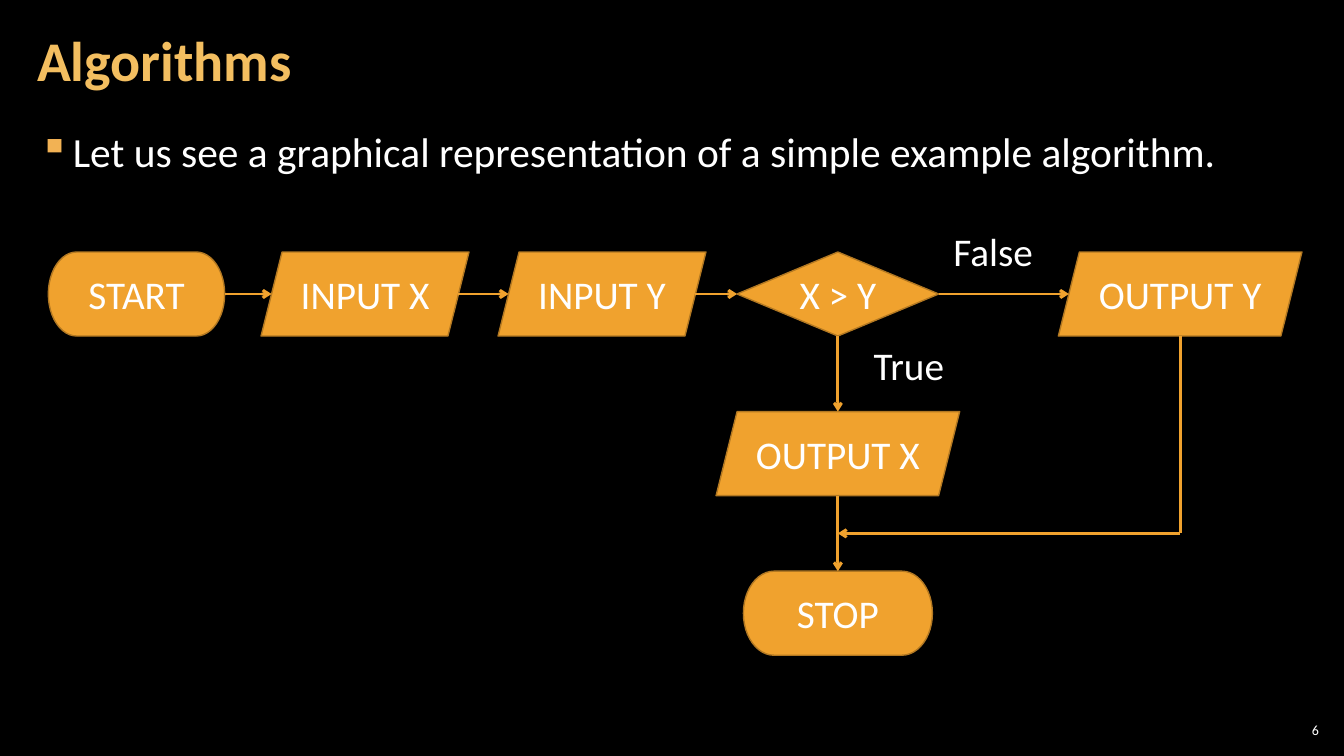
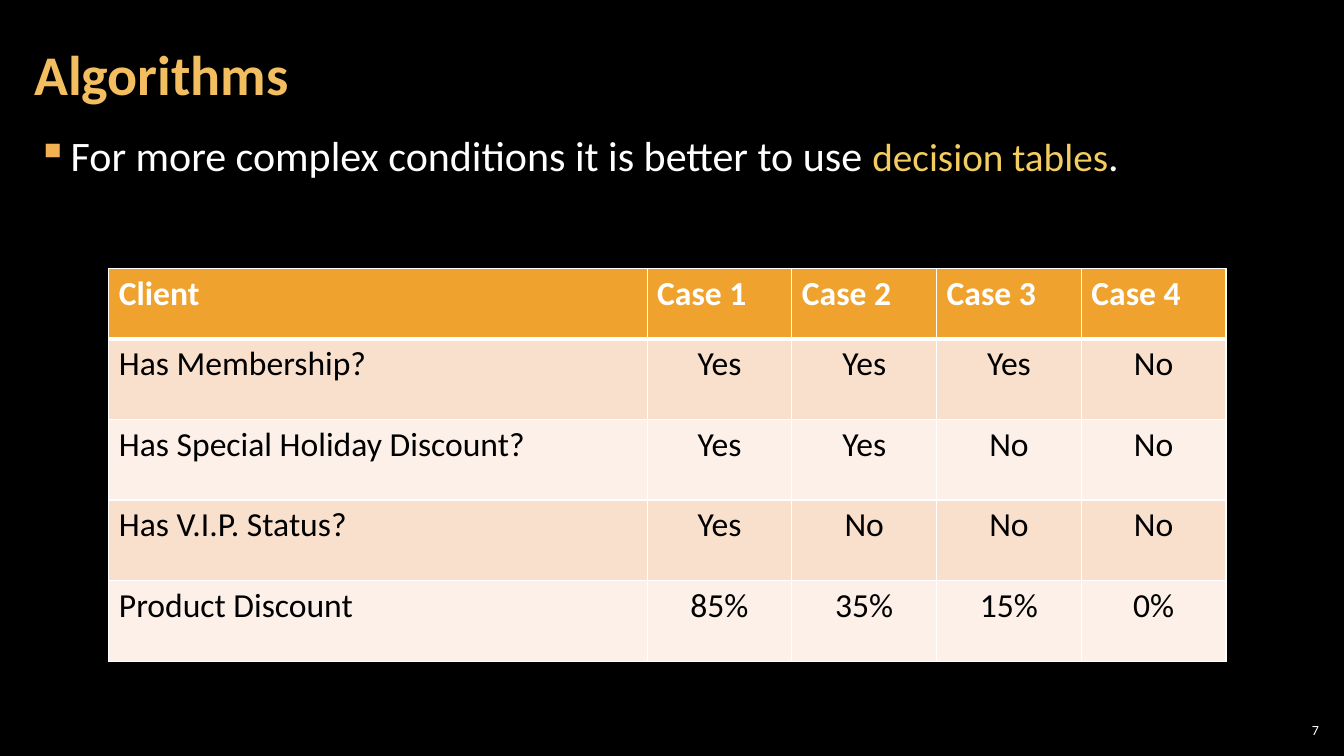
from dataclasses import dataclass
from itertools import pairwise

from lxml import etree
from pptx import Presentation
from pptx.dml.color import RGBColor
from pptx.enum.shapes import MSO_CONNECTOR, MSO_SHAPE
from pptx.enum.text import MSO_ANCHOR, MSO_AUTO_SIZE, PP_ALIGN
from pptx.oxml.ns import qn
from pptx.util import Pt

STRAIGHT = MSO_CONNECTOR.STRAIGHT
TERMINATOR = MSO_SHAPE.FLOWCHART_TERMINATOR
DECISION = MSO_SHAPE.FLOWCHART_DECISION
DATA = MSO_SHAPE.PARALLELOGRAM
LEFT, CENTER, RIGHT = PP_ALIGN.LEFT, PP_ALIGN.CENTER, PP_ALIGN.RIGHT
TOP, MIDDLE = MSO_ANCHOR.TOP, MSO_ANCHOR.MIDDLE
NO_FIT, FIT_SHAPE = MSO_AUTO_SIZE.NONE, MSO_AUTO_SIZE.SHAPE_TO_FIT_TEXT
TITLE_ONLY = 5


@dataclass(frozen=True)
class Theme:
    font: str = "Calibri"
    back: str = "000000"
    text: str = "FFFFFF"
    dark_text: str = "000000"
    title: str = "F3BE60"
    bullet: str = "F2B254"
    highlight: str = "F3CD60"
    accent: str = "F0A22E"
    outline: str = "B27822"
    bands: tuple = ("F9E0CD", "FCF0E8")
    title_size: float = 40
    body_size: float = 30
    node_size: float = 28
    table_size: float = 24
    number_size: float = 10


def rgb(color):
    return RGBColor.from_string(color)


def sub(parent, tag, **attrs):
    el = etree.SubElement(parent, qn(tag))
    for key, value in attrs.items():
        el.set(key, str(value))
    return el


class Deck:
    """Holds the style and the current slide."""

    def __init__(self, theme):
        self.theme = theme
        self.prs = Presentation()
        self.prs.slide_width, self.prs.slide_height = Pt(960), Pt(540)
        fill = self.prs.slide_master.background.fill
        fill.solid()
        fill.fore_color.rgb = rgb(theme.back)
        self.s = None

    # Text
    def run(self, p, text, size, color=None, bold=False):
        r = p.add_run()
        r.text = text
        r.font.name, r.font.size, r.font.bold = self.theme.font, Pt(size), bold
        r.font.color.rgb = rgb(color or self.theme.text)

    def frame(self, sp, anchor=TOP, margins=(7.2, 3.6), wrap=True, fit=NO_FIT):
        tf = sp.text_frame
        tf.auto_size, tf.word_wrap, tf.vertical_anchor = fit, wrap, anchor
        tf.margin_left = tf.margin_right = Pt(margins[0])
        tf.margin_top = tf.margin_bottom = Pt(margins[1])
        return tf.paragraphs[0]

    def textbox(self, x, y, w, h, **frame):
        sp = self.s.shapes.add_textbox(Pt(x), Pt(y), Pt(w), Pt(h))
        return self.frame(sp, **frame)

    # Slide with title and number
    def slide(self, title, x, y, number):
        self.s = self.prs.slides.add_slide(self.prs.slide_layouts[TITLE_ONLY])
        sp = self.s.shapes.title
        sp.left, sp.top, sp.width, sp.height = Pt(x), Pt(y), Pt(754), Pt(87)
        p = self.frame(sp, MIDDLE, (8.5, 2.8))
        p.alignment, p.line_spacing = LEFT, 0.9
        self.run(p, title, self.theme.title_size, self.theme.title, True)

        p = self.textbox(911, 514, 34, 15, anchor=MIDDLE, margins=(2.8, 2.8))
        p.alignment = RIGHT
        self.run(p, str(number), self.theme.number_size)

    def bullet(self, x, y, *runs):
        p = self.textbox(x, y, 876, 72, margins=(8.5, 2.8))
        p.space_before = p.space_after = Pt(6)
        pPr = p._p.get_or_add_pPr()
        pPr.set("marL", str(Pt(24)))
        pPr.set("indent", str(Pt(-24)))
        sub(sub(pPr, "a:buClr"), "a:srgbClr", val=self.theme.bullet)
        sub(pPr, "a:buChar", char="▪")
        for text, size, color in runs:
            self.run(p, text, size, color)

    # Flowchart
    def node(self, kind, text, cx, y, w, h):
        sp = self.s.shapes.add_shape(kind, Pt(cx - w / 2), Pt(y), Pt(w), Pt(h))
        sp.shadow.inherit = False
        sp.fill.solid()
        sp.fill.fore_color.rgb = rgb(self.theme.accent)
        sp.line.color.rgb, sp.line.width = rgb(self.theme.outline), Pt(1)
        p = self.frame(sp, MIDDLE)
        p.alignment = CENTER
        self.run(p, text, self.theme.node_size)

    def label(self, text, x, y, w):
        p = self.textbox(x, y, w, 41, wrap=False, fit=FIT_SHAPE)
        self.run(p, text, self.theme.node_size)

    def arrow(self, *points):
        """Draw straight legs through the points, with a head on the last."""
        for (x1, y1), (x2, y2) in pairwise(points):
            leg = self.s.shapes.add_connector(STRAIGHT, Pt(x1), Pt(y1), Pt(x2), Pt(y2))
            leg.line.color.rgb, leg.line.width = rgb(self.theme.accent), Pt(2)
            sub(leg._element.spPr, "a:effectLst")
        sub(leg.line._get_or_add_ln(), "a:tailEnd", type="arrow")

    # Table
    def cell(self, cell, text, fill, color, bold, align, edges):
        cell.vertical_anchor = TOP
        tcPr = cell._tc.get_or_add_tcPr()
        for side, width in zip("LRTB", edges):
            ln = sub(tcPr, f"a:ln{side}", w=Pt(width))
            sub(sub(ln, "a:solidFill"), "a:srgbClr", val=self.theme.text)
        cell.fill.solid()
        cell.fill.fore_color.rgb = rgb(fill)
        p = cell.text_frame.paragraphs[0]
        p.alignment = align
        self.run(p, text, self.theme.table_size, color, bold)

    def table(self, x, y, widths, heights, rows):
        th = self.theme
        tbl = self.s.shapes.add_table(len(rows), len(widths), Pt(x), Pt(y),
                                      Pt(sum(widths)), Pt(sum(heights))).table
        tbl.horz_banding = False
        for col, w in zip(tbl.columns, widths):
            col.width = Pt(w)
        for i, (row, h) in enumerate(zip(rows, heights)):
            tbl.rows[i].height = Pt(h)
            head = i == 0
            fill = th.accent if head else th.bands[(i - 1) % 2]
            color = th.text if head else th.dark_text
            edges = (1, 1, 3 if i == 1 else 1, 3 if head else 1)
            for j, text in enumerate(row):
                align = LEFT if head or j == 0 else CENTER
                self.cell(tbl.cell(i, j), text, fill, color, head, align, edges)


def flowchart_slide(deck):
    deck.slide("Algorithms", 18, 2, 6)
    deck.bullet(19.5, 87, ("Let us see a graphical representation of a simple "
                           "example algorithm.", 29.6, None))

    # Grid: the main row, and the column under the decision
    h, gap = 60, 54
    row, out_x, stop = (180 + i * (h + gap) for i in range(3))
    mid, test, out_y = row + h / 2, 598.5, 843
    nodes = [
        (TERMINATOR, "START", 97.5, row, 126),
        (DATA, "INPUT X", 260.75, row, 148.5),
        (DATA, "INPUT Y", 430, row, 148.5),
        (DECISION, "X > Y", test, row, 144),
        (DATA, "OUTPUT Y", out_y, row, 174),
        (DATA, "OUTPUT X", test, out_x, 174),
        (TERMINATOR, "STOP", test, stop, 135),
    ]
    for kind, text, cx, y, w in nodes:
        deck.node(kind, text, cx, y, w, h)

    # Arrows meet the slanted sides of a parallelogram halfway up
    def half(kind, w):
        return w / 2 - (h / 8 if kind == DATA else 0)

    for (k1, _, c1, _, w1), (k2, _, c2, _, w2) in pairwise(nodes[:5]):
        deck.arrow((c1 + half(k1, w1), mid), (c2 - half(k2, w2), mid))
    for y in (out_x, stop):
        deck.arrow((test, y - gap), (test, y))
    join = stop - gap / 2
    deck.arrow((out_y, row + h), (out_y, join), (test, join))

    deck.label("False", 674, 159, 72)
    deck.label("True", 617, 240.5, 65.5)


def decision_table_slide(deck):
    th = deck.theme
    deck.slide("Algorithms", 16, 12, 7)
    deck.bullet(18, 90,
                ("For more complex conditions it is better to use ", th.body_size, None),
                ("decision tables", th.node_size, th.highlight),
                (".", th.body_size, None))
    deck.table(77.75, 192, [384.5] + [103.4] * 4, [50] + [57.6] * 4, [
        ("Client", "Case 1", "Case 2", "Case 3", "Case 4"),
        ("Has Membership?", "Yes", "Yes", "Yes", "No"),
        ("Has Special Holiday Discount?", "Yes", "Yes", "No", "No"),
        ("Has V.I.P. Status?", "Yes", "No", "No", "No"),
        ("Product Discount", "85%", "35%", "15%", "0%"),
    ])


def main():
    deck = Deck(Theme())
    flowchart_slide(deck)
    decision_table_slide(deck)
    deck.prs.save("out.pptx")


if __name__ == "__main__":
    main()
